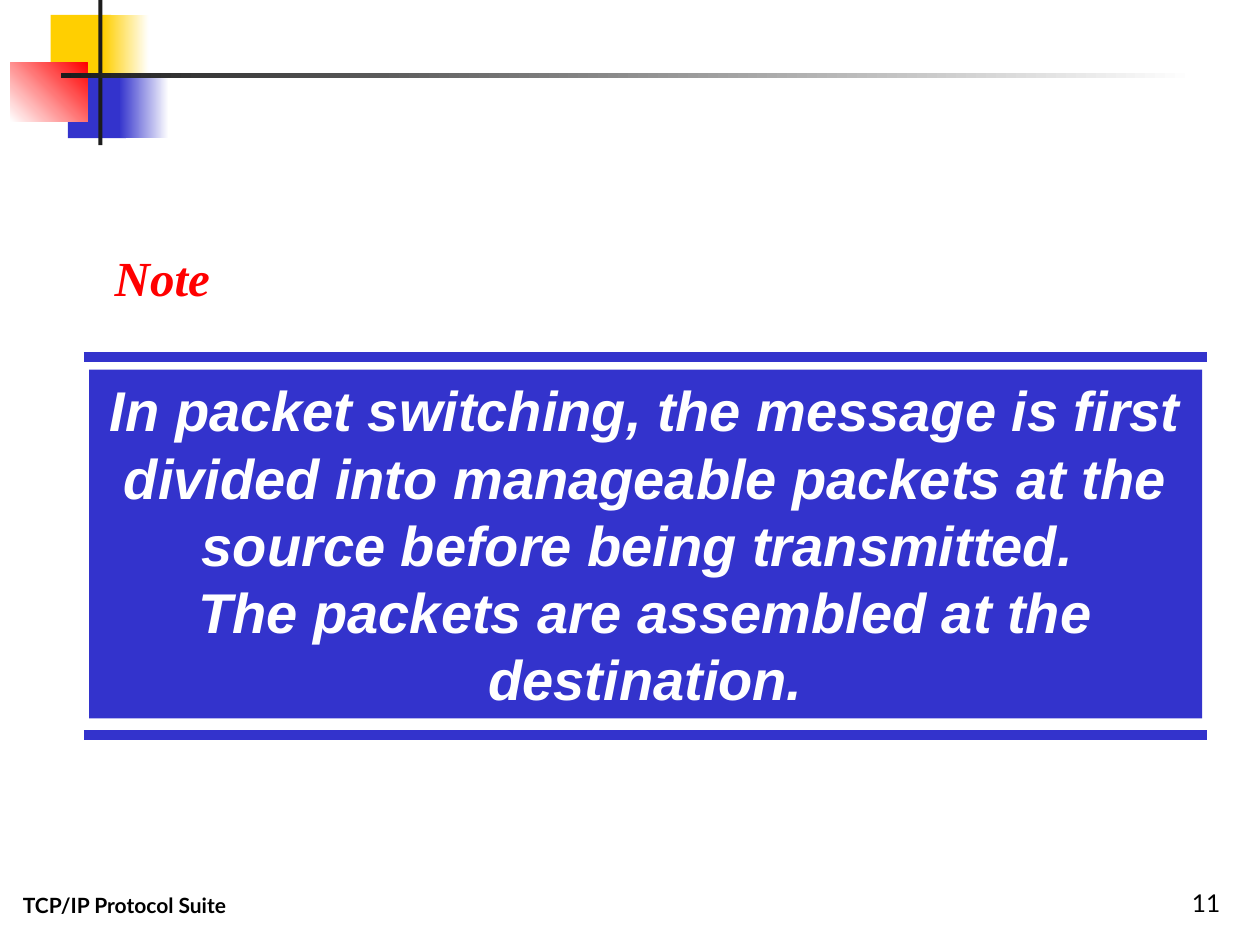
"""Build the packet switching note slide."""
from pptx import Presentation
from pptx.dml.color import RGBColor
from pptx.enum.shapes import MSO_CONNECTOR, MSO_SHAPE
from pptx.enum.text import MSO_ANCHOR as Anchor, PP_ALIGN as Align
from pptx.oxml.ns import qn
from pptx.util import Pt
from lxml import etree

COLORS = {"yellow": "FFCF01", "blue": "3333CC", "red": "FF0000",
          "dark": "1C1C1C", "white": "FFFFFF", "black": "000000"}


def add_block(page, place, start, end=None, angle=0):
    block = page.shapes.add_shape(MSO_SHAPE.RECTANGLE, *map(Pt, place))
    block.shadow.inherit = False
    block.line.fill.background()
    if end is None:
        block.fill.solid()
        block.fill.fore_color.rgb = RGBColor.from_string(COLORS[start])
    else:
        block.fill.gradient()
        block.fill.gradient_angle = angle
        for stop, name in zip(block.fill.gradient_stops, (start, end)):
            stop.color.rgb = RGBColor.from_string(COLORS[name])
    return block


def write(shape, text, font, size, color, bold=False, italic=False,
          align=Align.LEFT, anchor=Anchor.TOP, wrap=True):
    frame = shape.text_frame
    frame.word_wrap = wrap
    frame.vertical_anchor = anchor
    para = frame.paragraphs[0]
    para.text = text
    para.alignment = align
    para.font.name = font
    para.font.size = Pt(size)
    para.font.bold = bold
    para.font.italic = italic
    para.font.color.rgb = RGBColor.from_string(COLORS[color])


deck = Presentation()
deck.slide_width, deck.slide_height = Pt(720), Pt(540)
page = deck.slides.add_slide(deck.slide_layouts[6])

footer = page.shapes.add_textbox(Pt(6), Pt(492), Pt(228), Pt(36))
write(footer, "TCP/IP Protocol Suite", "Lato", 12, "black", bold=True,
      anchor=Anchor.BOTTOM)
number = page.shapes.add_textbox(Pt(554.4), Pt(492), Pt(150), Pt(36))
write(number, "11", "Lato", 14, "black", align=Align.RIGHT,
      anchor=Anchor.BOTTOM)

for place, *paint in [
    ((29, 8.5, 34.5, 37.5), "yellow"),
    ((59, 8.5, 26, 37.5), "yellow", "white"),
    ((38.8, 42, 33.2, 37), "blue"),
    ((68, 42, 28.5, 37), "blue", "white"),
    ((6, 36, 44, 33.5), "white", "red", 45),
    ((56.25, 0, 2.25, 83), "dark"),
    ((35, 41.9, 648, 2.5), "dark", "white"),
]:
    add_block(page, place, *paint)

for height in (204, 420):
    rule = page.shapes.add_connector(
        MSO_CONNECTOR.STRAIGHT, Pt(48), Pt(height), Pt(690), Pt(height))
    rule.line.width = Pt(6)
    rule.line.color.rgb = RGBColor.from_string(COLORS["blue"])
    etree.SubElement(rule._element.spPr, qn("a:effectLst"))

message = add_block(page, (51, 211.25, 636, 199.25), "blue")
write(message,
      "In packet switching, the message is first divided into manageable "
      "packets at the source before being transmitted. \v"
      "The packets are assembled at the destination.",
      "Arial", 32, "white", bold=True, italic=True, align=Align.CENTER)

note = page.shapes.add_textbox(Pt(58.5), Pt(138), Pt(69), Pt(41))
write(note, "Note", "Times New Roman", 28, "red", bold=True, italic=True,
      wrap=False)

deck.save("out.pptx")
